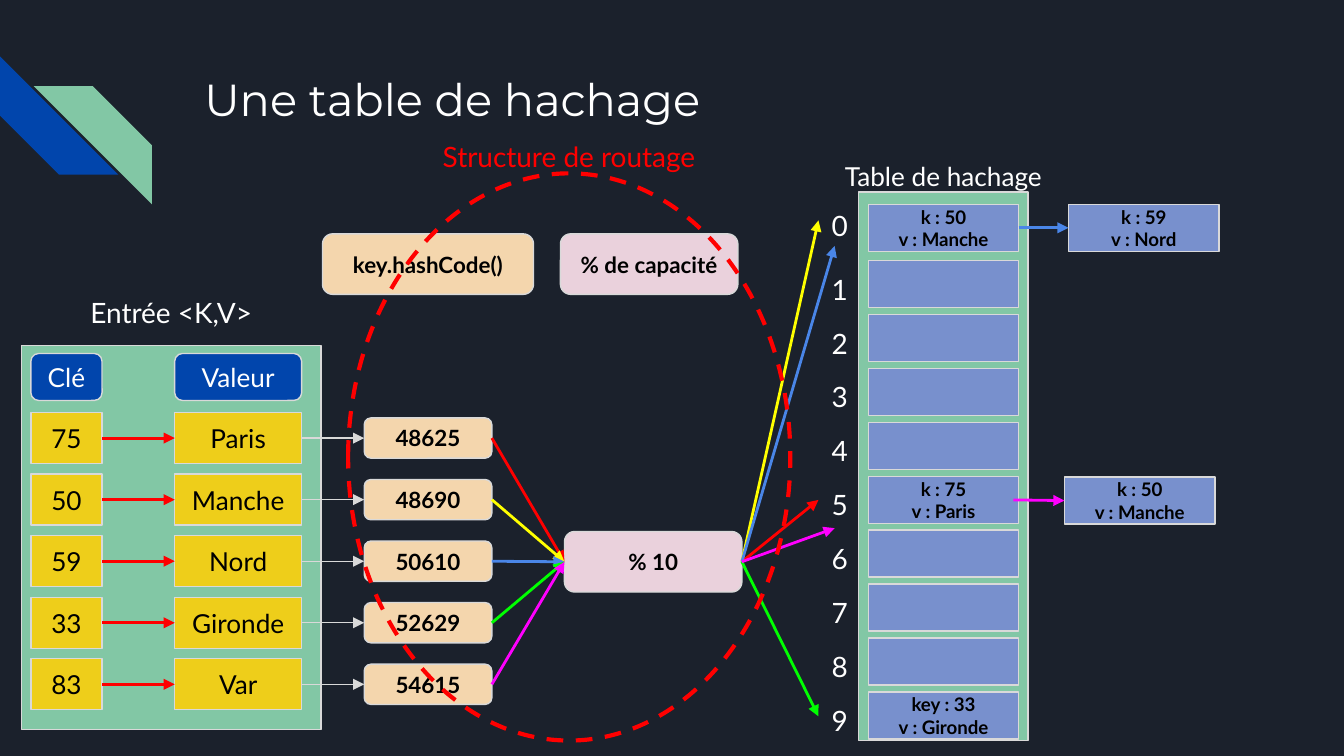
from dataclasses import dataclass
from typing import NamedTuple, Optional, Union

from lxml import etree
from pptx import Presentation
from pptx.dml.color import RGBColor
from pptx.enum.dml import MSO_LINE
from pptx.enum.shapes import MSO_CONNECTOR, MSO_SHAPE
from pptx.enum.text import MSO_ANCHOR, MSO_AUTO_SIZE, PP_ALIGN
from pptx.oxml.ns import qn
from pptx.shapes.autoshape import Shape
from pptx.slide import Slide
from pptx.util import Inches, Pt

RECTANGLE, ROUNDED = MSO_SHAPE.RECTANGLE, MSO_SHAPE.ROUNDED_RECTANGLE
STRIPE, ELLIPSE = MSO_SHAPE.DIAGONAL_STRIPE, MSO_SHAPE.OVAL
STRAIGHT, DASH = MSO_CONNECTOR.STRAIGHT, MSO_LINE.DASH
TOP, MIDDLE = MSO_ANCHOR.TOP, MSO_ANCHOR.MIDDLE
LEFT, CENTER = PP_ALIGN.LEFT, PP_ALIGN.CENTER
NO_AUTOFIT = MSO_AUTO_SIZE.NONE
LEFT_SIDE, RIGHT_SIDE = 1, 3

# The slide is a grid of 100 columns by 56.25 rows of square cells.
SLIDE_WIDTH = Inches(10)
SLIDE_HEIGHT = SLIDE_WIDTH * 9 // 16
CELL = SLIDE_WIDTH // 100


@dataclass(frozen=True)
class Theme:
    background: RGBColor = RGBColor(0x1B, 0x21, 0x2C)
    white: RGBColor = RGBColor(0xFF, 0xFF, 0xFF)
    black: RGBColor = RGBColor(0x00, 0x00, 0x00)
    outline: RGBColor = RGBColor(0xD9, 0xD9, 0xD9)
    navy: RGBColor = RGBColor(0x01, 0x45, 0xAC)
    mint: RGBColor = RGBColor(0x82, 0xC7, 0xA5)
    gold: RGBColor = RGBColor(0xEE, 0xCE, 0x1A)
    sand: RGBColor = RGBColor(0xF4, 0xD6, 0xAD)
    rose: RGBColor = RGBColor(0xEA, 0xD1, 0xDC)
    periwinkle: RGBColor = RGBColor(0x78, 0x90, 0xCD)
    red: RGBColor = RGBColor(0xFF, 0x00, 0x00)
    yellow: RGBColor = RGBColor(0xFF, 0xFF, 0x00)
    blue: RGBColor = RGBColor(0x4A, 0x86, 0xE8)
    green: RGBColor = RGBColor(0x00, 0xFF, 0x00)
    magenta: RGBColor = RGBColor(0xFF, 0x00, 0xFF)
    title_font: str = "Montserrat"
    body_font: str = "Lato"
    title_size: float = 24
    label_size: float = 15
    entry_size: float = 14
    hash_size: float = 12
    slot_size: float = 10
    thin: float = 0.75
    arrow: float = 1.5
    thick: float = 2.25


THEME = Theme()


class Box(NamedTuple):
    left: float
    top: float
    width: float
    height: float


class Point(NamedTuple):
    column: float
    row: float


class Style(NamedTuple):
    fill: Optional[RGBColor] = None
    preset: MSO_SHAPE = RECTANGLE
    size: float = THEME.entry_size
    colour: RGBColor = THEME.black
    bold: bool = False
    font: str = THEME.body_font
    align: PP_ALIGN = CENTER
    anchor: MSO_ANCHOR = MIDDLE


class Entry(NamedTuple):
    key: str
    value: str
    hash_code: str
    colour: RGBColor
    target: Point


PANEL = Style(THEME.mint)
ENTRY = Style(THEME.gold)
HEADER = Style(THEME.navy, ROUNDED, colour=THEME.white)
HASH = Style(THEME.sand, ROUNDED, THEME.hash_size, bold=True)
MODULO = HASH._replace(fill=THEME.rose)
SLOT = Style(THEME.periwinkle, size=THEME.slot_size, bold=True)
LABEL = Style(size=THEME.label_size, colour=THEME.white, anchor=TOP)
TITLE = LABEL._replace(size=THEME.title_size, font=THEME.title_font, align=LEFT)

ENTRIES = [
    Entry("75", "Paris", "48625", THEME.red, Point(60.9, 37.2)),
    Entry("50", "Manche", "48690", THEME.yellow, Point(60.9, 16.4)),
    Entry("59", "Nord", "50610", THEME.blue, Point(62.1, 18.3)),
    Entry("33", "Gironde", "52629", THEME.green, Point(60.9, 53.3)),
    Entry("83", "Var", "54615", THEME.magenta, Point(62.1, 39.3)),
]
FIRST_ENTRY, ENTRY_PITCH = 32.6, 4.58
KEY_LEFT, KEY_WIDTH = 2.3, 5.3
VALUE_LEFT, VALUE_WIDTH = 13, 9.45
SLOT_TEXTS = {0: "k : 50\nv : Manche", 5: "k : 75\nv : Paris", 9: "key : 33\nv : Gironde"}
SLOT_COUNT, SLOT_PITCH = 10, 4.01
SLOT_WIDTH, SLOT_HEIGHT = 11.2, 3.5


def cells(count: float) -> int:
    return round(count * CELL)


def write(shape: Shape, text: str, style: Style) -> None:
    frame = shape.text_frame
    frame.text = text
    settings = {"word_wrap": True, "auto_size": NO_AUTOFIT, "vertical_anchor": style.anchor}
    margins = {f"margin_{side}": Inches(0.1) for side in ("left", "top", "right", "bottom")}
    for name, value in {**settings, **margins}.items():
        setattr(frame, name, value)
    font_format = {"name": style.font, "size": Pt(style.size), "bold": style.bold}
    for paragraph in frame.paragraphs:
        paragraph.alignment = style.align
        for run in paragraph.runs:
            for name, value in font_format.items():
                setattr(run.font, name, value)
            run.font.color.rgb = style.colour


def draw_shape(slide: Slide, box: Box, style: Style, text: str = "") -> Shape:
    shape = slide.shapes.add_shape(style.preset, *map(cells, box))
    shape.shadow.inherit = False
    if style.fill is None:
        shape.fill.background()
    else:
        shape.fill.solid()
        shape.fill.fore_color.rgb = style.fill
    shape.line.color.rgb = THEME.outline
    shape.line.width = Pt(THEME.thin)
    if text:
        write(shape, text, style)
    return shape


def draw_label(slide: Slide, box: Box, text: str, style: Style = LABEL) -> None:
    write(slide.shapes.add_textbox(*map(cells, box)), text, style)


def draw_arrow(slide: Slide, start: Union[Shape, Point], end: Union[Shape, Point],
               colour: RGBColor, width: float = THEME.arrow) -> None:
    """Point rightwards; a shape is joined at its side, a Point is left free."""
    ends = [cells(value) for place in (start, end)
            for value in (place if isinstance(place, Point) else Point(0, 0))]
    connector = slide.shapes.add_connector(STRAIGHT, *ends)
    if not isinstance(start, Point):
        connector.begin_connect(start, RIGHT_SIDE)
    if not isinstance(end, Point):
        connector.end_connect(end, LEFT_SIDE)
    connector.line.color.rgb = colour
    connector.line.width = Pt(width)
    etree.SubElement(connector.line._get_or_add_ln(), qn("a:tailEnd"), type="triangle")
    etree.SubElement(connector._element.spPr, qn("a:effectLst"))


def draw_heading(slide: Slide) -> None:
    blue_stripe = draw_shape(slide, Box(0, 4.2, 8.8, 8.8), Style(THEME.navy, STRIPE))
    blue_stripe.rotation = 270
    mint_stripe = draw_shape(slide, Box(2.5, 6.4, 8.8, 8.8), Style(THEME.mint, STRIPE))
    mint_stripe._element.spPr.find(qn("a:xfrm")).set("flipH", "1")
    for stripe in (blue_stripe, mint_stripe):
        stripe.line.fill.background()
    title = slide.shapes.title
    for name, value in zip(Box._fields, Box(14.2, 4.3, 77, 6.1)):
        setattr(title, name, cells(value))
    write(title, "Une table de hachage", TITLE)


def draw_table(slide: Slide) -> None:
    draw_shape(slide, Box(63.9, 14.3, 12.6, 40.8), PANEL)
    draw_label(slide, Box(61.7, 10.9, 17, 3), "Table de hachage", LABEL._replace(size=THEME.entry_size))
    slots = []
    for index in range(SLOT_COUNT):
        top = 19.4 + (index - 1) * SLOT_PITCH if index else 15.2
        box = Box(64.6, top, SLOT_WIDTH, SLOT_HEIGHT)
        slots.append(draw_shape(slide, box, SLOT, SLOT_TEXTS.get(index, "")))
        draw_label(slide, Box(60.9, top - (0.15 if index else 0.7), 2.5, 3.8), str(index))
    north = draw_shape(slide, Box(79.5, 15.2, SLOT_WIDTH, SLOT_HEIGHT), SLOT, "k : 59\nv : Nord")
    draw_arrow(slide, slots[0], north, THEME.blue)
    channel = draw_shape(slide, Box(79.2, 35.5, SLOT_WIDTH, SLOT_HEIGHT), SLOT, "k : 50\nv : Manche")
    draw_arrow(slide, Point(75.4, 37.2), channel, THEME.magenta)


def draw_entries(slide: Slide) -> None:
    draw_shape(slide, Box(1.6, 25.7, 22.3, 28.6), PANEL)
    draw_label(slide, Box(4.9, 21, 15.7, 3), "Entrée <K,V>")
    draw_shape(slide, Box(KEY_LEFT, 26.3, KEY_WIDTH, 3.5), HEADER, "Clé")
    draw_shape(slide, Box(VALUE_LEFT, 26.3, VALUE_WIDTH, 3.5), HEADER, "Valeur")
    draw_shape(slide, Box(24, 17.4, 15.7, 4.5), HASH, "key.hashCode()")
    draw_shape(slide, Box(41.7, 17.4, 13.2, 4.5), MODULO, "% de capacité")
    modulo = draw_shape(slide, Box(42, 39.55, 13.2, 4.5), MODULO, "% 10")
    for index, entry in enumerate(ENTRIES):
        middle = FIRST_ENTRY + index * ENTRY_PITCH
        key = draw_shape(slide, Box(KEY_LEFT, middle - 1.9, KEY_WIDTH, 3.8), ENTRY, entry.key)
        value = draw_shape(slide, Box(VALUE_LEFT, middle - 1.9, VALUE_WIDTH, 3.8), ENTRY, entry.value)
        hash_code = draw_shape(slide, Box(27.1, middle - 1.5, 9.5, 3), HASH, entry.hash_code)
        draw_arrow(slide, key, value, THEME.red)
        draw_arrow(slide, value, hash_code, THEME.outline, THEME.thin)
        draw_arrow(slide, hash_code, modulo, entry.colour)
        draw_arrow(slide, modulo, entry.target, entry.colour)


def draw_routing(slide: Slide) -> None:
    ellipse = draw_shape(slide, Box(25.9, 12.9, 32.9, 42.2), Style(preset=ELLIPSE))
    ellipse.line.color.rgb = THEME.red
    ellipse.line.width = Pt(THEME.thick)
    ellipse.line.dash_style = DASH
    draw_label(slide, Box(31.2, 9.4, 22.3, 3), "Structure de routage", LABEL._replace(colour=THEME.red))


def main() -> None:
    presentation = Presentation()
    presentation.slide_width, presentation.slide_height = SLIDE_WIDTH, SLIDE_HEIGHT
    slide = presentation.slides.add_slide(presentation.slide_layouts.get_by_name("Title Only"))
    slide.background.fill.solid()
    slide.background.fill.fore_color.rgb = THEME.background
    for draw in (draw_heading, draw_table, draw_entries, draw_routing):
        draw(slide)
    presentation.save("out.pptx")


if __name__ == "__main__":
    main()
